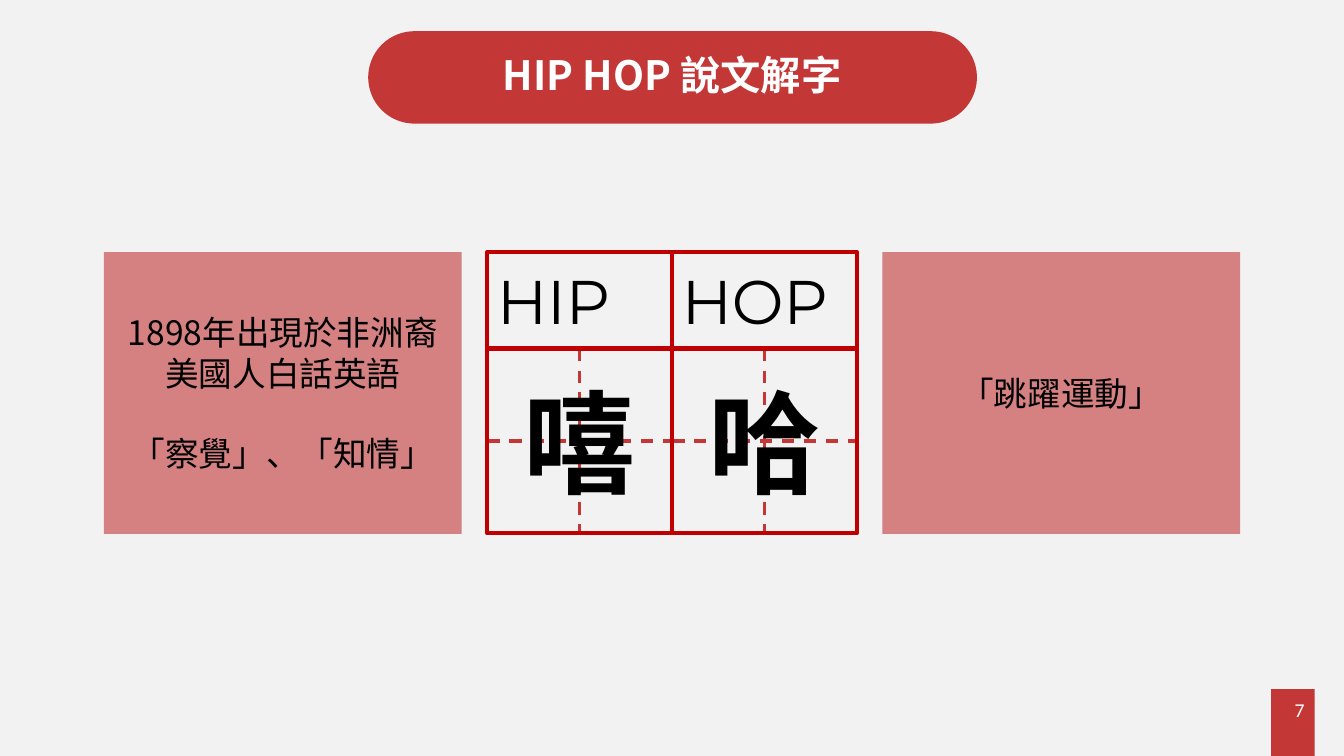
from dataclasses import dataclass

from lxml.etree import SubElement
from pptx import Presentation
from pptx.dml.color import RGBColor as Color
from pptx.enum.dml import MSO_LINE_DASH_STYLE as Dash
from pptx.enum.shapes import MSO_CONNECTOR_TYPE as Connector
from pptx.enum.shapes import MSO_SHAPE as Preset
from pptx.enum.text import MSO_VERTICAL_ANCHOR as Anchor
from pptx.enum.text import PP_PARAGRAPH_ALIGNMENT as Align
from pptx.oxml.ns import qn
from pptx.util import Pt


@dataclass(frozen=True)
class Theme:
    """Colours, fonts and type sizes of the slide."""
    background: Color = Color.from_string("F2F2F2")
    accent: Color = Color.from_string("C33736")
    frame: Color = Color.from_string("C00000")
    ink: Color = Color.from_string("000000")
    white: Color = Color.from_string("FFFFFF")
    chinese: str = "Noto Sans CJK SC"
    latin: str = "Montserrat"
    number: str = "Calibri"
    title_size: float = 28.8
    body_size: float = 24
    word_size: float = 44
    character_size: float = 80
    number_size: float = 14


class SlideBuilder:
    """Draws styled elements on the current slide."""

    def __init__(self, slide, theme):
        """Keep the slide and theme, and paint the background."""
        self.slide = slide
        self.theme = theme
        slide.background.fill.solid()
        slide.background.fill.fore_color.rgb = theme.background

    def box(self, left, top, width, height, fill=None, frame=None,
            preset=Preset.RECTANGLE, opacity=100):
        """Add a flat shape with an optional fill and frame."""
        shape = self.slide.shapes.add_shape(
            preset, Pt(left), Pt(top), Pt(width), Pt(height))
        shape.shadow.inherit = False
        if fill is None:
            shape.fill.background()
        else:
            shape.fill.solid()
            shape.fill.fore_color.rgb = fill
            if opacity < 100:
                color = shape._element.spPr.find(".//" + qn("a:srgbClr"))
                SubElement(color, qn("a:alpha"), val=str(opacity * 1000))
        if frame is None:
            shape.line.fill.background()
        else:
            shape.line.color.rgb = frame
            shape.line.width = Pt(3)
        return shape

    def text_box(self, left, top, width, height):
        """Add an empty text box."""
        return self.slide.shapes.add_textbox(
            Pt(left), Pt(top), Pt(width), Pt(height))

    def add_text(self, shape, lines, size, name, color=None, bold=False,
                 alignment=Align.CENTER, line_spacing=None, gap=0):
        """Set paragraphs, vertically centred, in a shape."""
        frame = shape.text_frame
        frame.word_wrap = True
        frame.vertical_anchor = Anchor.MIDDLE
        frame.text = "\n".join(lines)
        paragraph_format = {"alignment": alignment, "line_spacing": line_spacing}
        font_format = {"size": Pt(size), "name": name, "bold": bold}
        for index, paragraph in enumerate(frame.paragraphs):
            for key, value in paragraph_format.items():
                setattr(paragraph, key, value)
            if index:
                paragraph.space_before = Pt(gap)
            for run in paragraph.runs:
                for key, value in font_format.items():
                    setattr(run.font, key, value)
                run.font.color.rgb = color or self.theme.ink
                SubElement(run.font._element, qn("a:ea"), typeface=name)

    def guide(self, start, end):
        """Add a dashed guide line between two points."""
        connector = self.slide.shapes.add_connector(
            Connector.STRAIGHT, *map(Pt, start + end))
        line_format = {"width": Pt(2.25), "dash_style": Dash.DASH}
        connector.line.color.rgb = self.theme.accent
        for key, value in line_format.items():
            setattr(connector.line, key, value)
        SubElement(connector._element.spPr, qn("a:effectLst"))

    def title(self, text):
        """Add the title on its rounded banner."""
        banner = self.box(263, 22.3, 434.8, 66, self.theme.accent,
                          preset=Preset.ROUNDED_RECTANGLE)
        banner.adjustments[0] = 0.5
        self.add_text(self.text_box(280, 34.5, 400, 41), [text],
                      self.theme.title_size, self.theme.chinese,
                      self.theme.white, bold=True, line_spacing=0.9)

    def page_number(self, number):
        """Add the page number on its corner tab."""
        self.box(908, 492.2, 31, 47.8, self.theme.accent)
        self.add_text(self.text_box(908, 492.5, 31, 29), [number],
                      self.theme.number_size, self.theme.number,
                      self.theme.white, alignment=Align.RIGHT)

    def panel(self, left, lines):
        """Add a translucent panel with a meaning."""
        shape = self.box(left, 180, 255.6, 201.3, self.theme.accent, opacity=60)
        pitch = self.theme.body_size * 1.2
        self.add_text(shape, lines, self.theme.body_size, self.theme.chinese,
                      line_spacing=Pt(pitch), gap=pitch)

    def practice_cell(self, left, word, character, top=180, side=132, header=69):
        """Add a word above its character in a practice square."""
        square_top = top + header
        middle, center = left + side / 2, square_top + side / 2
        self.guide((left, center), (left + side, center))
        self.guide((middle, square_top), (middle, square_top + side))
        square = self.box(left, square_top, side, side, frame=self.theme.frame)
        self.add_text(square, [character], self.theme.character_size,
                      self.theme.chinese, bold=True)
        label = self.box(left, top, side, header, frame=self.theme.frame)
        self.add_text(label, [word], self.theme.word_size, self.theme.latin,
                      alignment=Align.LEFT)


def main():
    """Build and save the presentation."""
    presentation = Presentation()
    presentation.slide_width, presentation.slide_height = Pt(960), Pt(540)
    slide = presentation.slides.add_slide(presentation.slide_layouts[6])
    builder = SlideBuilder(slide, Theme())
    builder.title("HIP HOP 說文解字")
    builder.page_number("7")
    for column, (word, character) in enumerate([("HIP", "嘻"), ("HOP", "哈")]):
        builder.practice_cell(348 + 132 * column, word, character)
    builder.panel(74.2, ["1898年出現於非洲裔美國人白話英語", "「察覺」、「知情」"])
    builder.panel(630.2, ["「跳躍運動」"])
    presentation.save("out.pptx")


if __name__ == "__main__":
    main()
